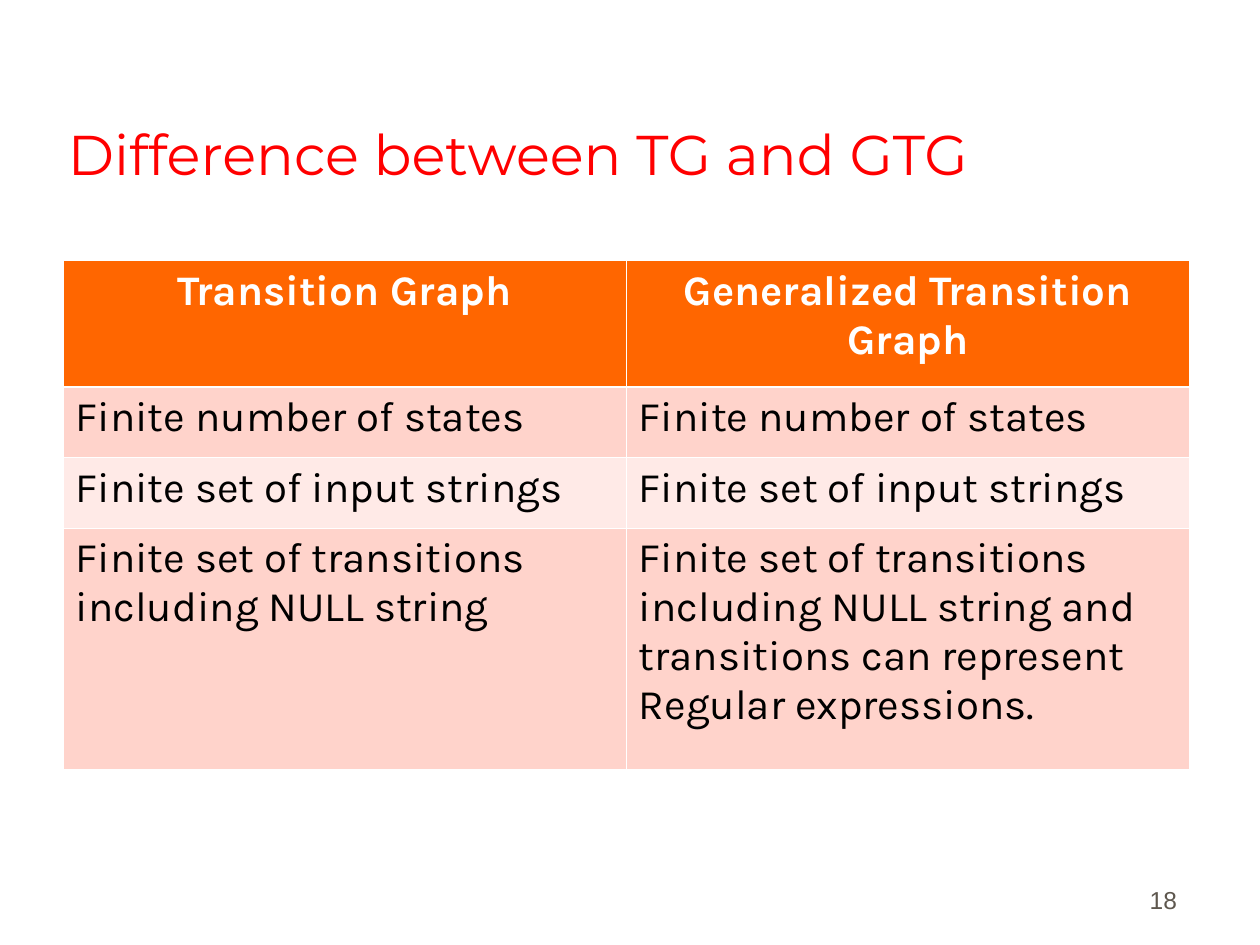
from lxml import etree
from pptx import Presentation
from pptx.dml.color import RGBColor
from pptx.enum.text import MSO_ANCHOR, PP_ALIGN
from pptx.oxml.ns import qn
from pptx.util import Inches, Pt

LEFT, CENTER, RIGHT = PP_ALIGN.LEFT, PP_ALIGN.CENTER, PP_ALIGN.RIGHT
BOTTOM = MSO_ANCHOR.BOTTOM

COLORS = {
    "title": "FF0000",
    "header": "FF6600",
    "header_text": "FFFFFF",
    "band_dark": "FFD3CB",
    "band_light": "FFEAE7",
    "body_text": "000000",
    "border": "FFFFFF",
    "page_number": "5E574E",
}
THIN, THICK = Pt(0.45), Pt(1.47)

COMPARISON = [
    ("Transition Graph", "Generalized Transition Graph"),
    ("Finite number of states", "Finite number of states"),
    ("Finite set of input strings", "Finite set of input strings"),
    ("Finite set of transitions including NULL string",
     "Finite set of transitions including NULL string and transitions "
     "can represent Regular expressions."),
]
ROW_HEIGHTS = [1.0, 0.56, 0.56, 1.92]


def write(frame, text, font_name, size, color, align=LEFT, bold=False):
    frame.text = text
    paragraph = frame.paragraphs[0]
    paragraph.alignment = align
    font = paragraph.runs[0].font
    font.name, font.size, font.bold = font_name, Pt(size), bold
    font.color.rgb = RGBColor.from_string(COLORS[color])


def add_bottom_text(slide, left, top, width, height, inset, *style, **options):
    """Text box whose text sits on its lower edge."""
    box = slide.shapes.add_textbox(
        Inches(left), Inches(top), Inches(width), Inches(height))
    frame = box.text_frame
    frame.word_wrap = True
    frame.vertical_anchor = BOTTOM
    frame.margin_bottom = Inches(inset)
    write(frame, *style, **options)


def set_borders(cell, top, bottom):
    properties = cell._tc.get_or_add_tcPr()
    widths = {"a:lnL": THIN, "a:lnR": THIN, "a:lnT": top, "a:lnB": bottom}
    # Border lines come before the fill in the cell properties
    for position, (tag, width) in enumerate(widths.items()):
        line = etree.Element(qn(tag), w=str(int(width)))
        fill = etree.SubElement(line, qn("a:solidFill"))
        etree.SubElement(fill, qn("a:srgbClr"), val=COLORS["border"])
        properties.insert(position, line)


def add_comparison(slide, left, top, width):
    columns = len(COMPARISON[0])
    table = slide.shapes.add_table(
        len(COMPARISON), columns, Inches(left), Inches(top),
        Inches(width), Inches(sum(ROW_HEIGHTS))).table
    for column in table.columns:
        column.width = Inches(width / columns)

    for row, (texts, height) in enumerate(zip(COMPARISON, ROW_HEIGHTS)):
        table.rows[row].height = Inches(height)
        is_header = row == 0
        band = "header" if is_header else "band_dark" if row % 2 else "band_light"
        for column, text in enumerate(texts):
            cell = table.cell(row, column)
            cell.fill.solid()
            cell.fill.fore_color.rgb = RGBColor.from_string(COLORS[band])
            set_borders(cell, top=THICK if row == 1 else THIN,
                        bottom=THICK if is_header else THIN)
            write(cell.text_frame, text, "Karla", 24,
                  "header_text" if is_header else "body_text",
                  align=CENTER if is_header else LEFT, bold=is_header)


def main():
    presentation = Presentation()
    presentation.slide_width, presentation.slide_height = Inches(10), Inches(7.5)
    slide = presentation.slides.add_slide(presentation.slide_layouts[6])

    # Title
    add_bottom_text(slide, 0.44, 0.25, 8.5, 1.25, 0.02,
                    "Difference between TG and GTG", "Montserrat", 32, "title")
    # Comparison table
    add_comparison(slide, 0.5, 2.07, 8.94)
    # Page number
    add_bottom_text(slide, 7.36, 6.81, 2.08, 0.5, 0.05,
                    "18", "Arial", 14, "page_number", align=RIGHT)

    presentation.save("out.pptx")


if __name__ == "__main__":
    main()
